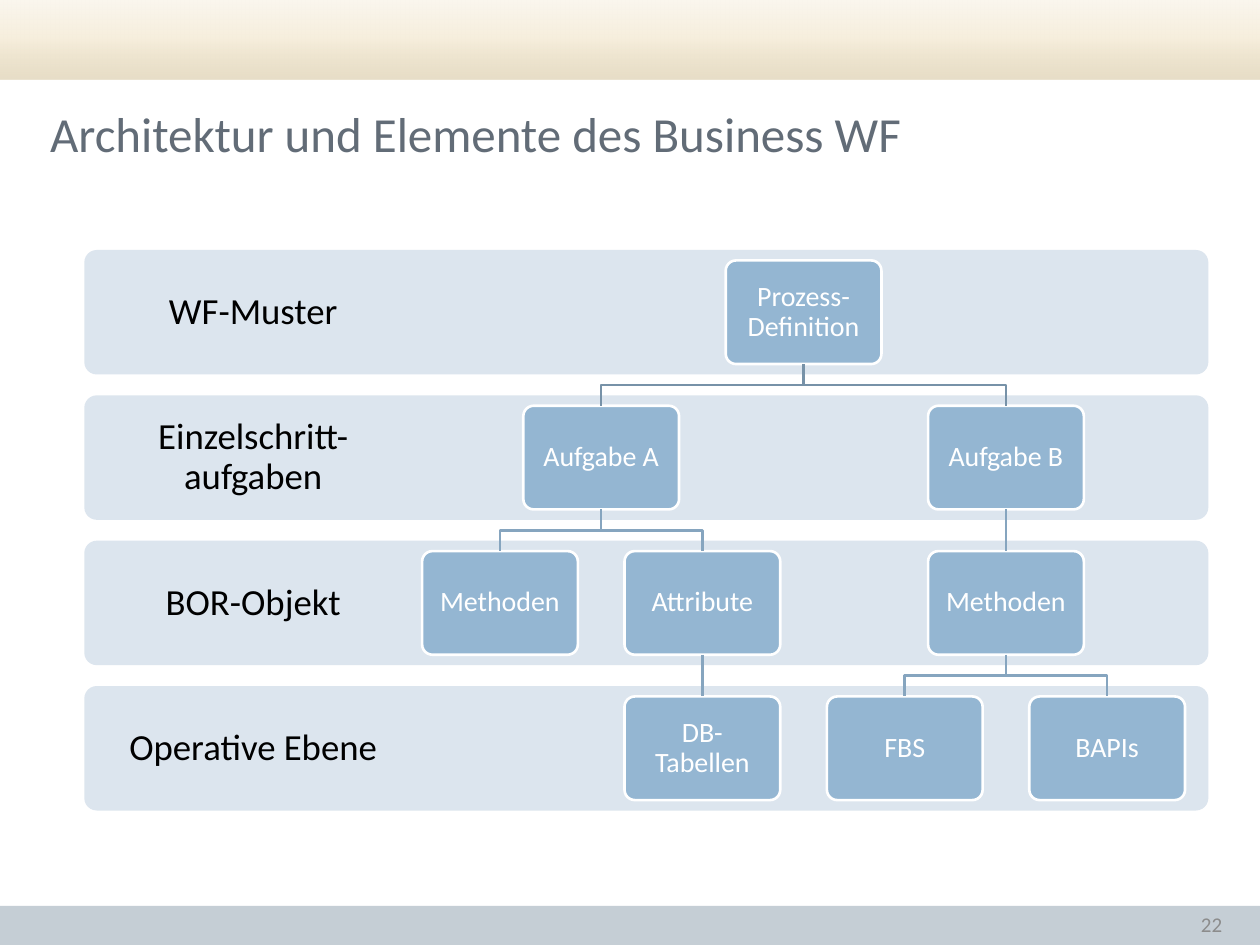
from copy import deepcopy
from dataclasses import dataclass

from lxml.etree import SubElement
from pptx import Presentation
from pptx.dml.color import RGBColor
from pptx.enum.shapes import MSO_CONNECTOR as Connector, MSO_SHAPE as Shape
from pptx.enum.text import MSO_ANCHOR as Anchor, MSO_AUTO_SIZE as AutoSize, PP_ALIGN as Align
from pptx.oxml.ns import qn
from pptx.util import Cm, Pt


@dataclass(frozen=True)
class Theme:
    font: str = "Calibri"
    title: str = "626C77"
    page_number: str = "8C8C8C"
    footer: str = "C5CED5"
    band: str = "DCE5EE"
    label: str = "000000"
    box: str = "94B6D2"
    white: str = "FFFFFF"
    root_link: str = "7792A8"
    link: str = "86A5BF"
    header: tuple = ((0, "DFD2B3"), (0.5, "F6EEDC"), (1, "FAF6EE"))
    header_alpha: int = 73
    title_size: int = 28
    label_size: int = 21
    box_size: int = 16
    number_size: int = 12
    line_width: float = 1.5


THEME = Theme()
PAGE_WIDTH, PAGE_HEIGHT = 25.4, 19.05
BAND_LEFT, BAND_TOP, BAND_WIDTH, BAND_HEIGHT = 1.7, 5.04, 22.66, 2.51
ROW_STEP = 2.93
BOX_WIDTH, BOX_HEIGHT = 3.14, 2.09
FIRST_CENTER, COLUMN_STEP = 10.08, 2.04

LEVELS = ["WF-Muster", "Einzelschritt-aufgaben", "BOR-Objekt", "Operative Ebene"]
NODES = {
    "process": ("Prozess-Definition", 0, 3, None),
    "task_a": ("Aufgabe A", 1, 1, "process"),
    "task_b": ("Aufgabe B", 1, 5, "process"),
    "methods_a": ("Methoden", 2, 0, "task_a"),
    "attributes": ("Attribute", 2, 2, "task_a"),
    "methods_b": ("Methoden", 2, 5, "task_b"),
    "tables": ("DB-Tabellen", 3, 2, "attributes"),
    "modules": ("FBS", 3, 4, "methods_b"),
    "interfaces": ("BAPIs", 3, 6, "methods_b"),
}


def color(code):
    return RGBColor.from_string(code)


def write(shape, text, size, code, align=Align.CENTER, inset=0.25, spacing=None):
    frame = shape.text_frame
    frame.text = text
    frame.word_wrap = True
    frame.auto_size = AutoSize.NONE
    frame.vertical_anchor = Anchor.MIDDLE
    frame.margin_left = frame.margin_right = Cm(inset)
    frame.margin_top = frame.margin_bottom = Cm(min(inset, 0.13))
    para = frame.paragraphs[0]
    para.alignment = align
    para.line_spacing = spacing
    font = para.runs[0].font
    font.name, font.size = THEME.font, Pt(size)
    font.color.rgb = color(code)


def add_panel(page, kind, left, top, width, height, fill):
    panel = page.shapes.add_shape(kind, Cm(left), Cm(top), Cm(width), Cm(height))
    panel.shadow.inherit = False
    panel.fill.solid()
    panel.fill.fore_color.rgb = color(fill)
    panel.line.fill.background()
    if kind == Shape.ROUNDED_RECTANGLE:
        panel.adjustments[0] = 0.1
    return panel


def add_label(page, text, left, top, width, height, size, code, **layout):
    label = page.shapes.add_textbox(Cm(left), Cm(top), Cm(width), Cm(height))
    write(label, text, size, code, **layout)


def add_header(page):
    header = add_panel(page, Shape.RECTANGLE, 0, 0, PAGE_WIDTH, 1.6, THEME.white)
    header.fill.gradient()
    header.fill.gradient_angle = 90
    stop_list = header._element.spPr.find(".//" + qn("a:gsLst"))
    stop_list.append(deepcopy(stop_list[-1]))
    for stop, (position, code) in zip(header.fill.gradient_stops, THEME.header):
        stop.position = position
        stop.color.rgb = color(code)
    alpha = SubElement(stop_list[0][0], qn("a:alpha"))
    alpha.set("val", str(THEME.header_alpha * 1000))


def add_title(page, text):
    title = page.shapes.title
    title.left, title.top, title.width, title.height = Cm(0.76), Cm(1.58), Cm(24.64), Cm(2.18)
    write(title, text, THEME.title_size, THEME.title, align=Align.LEFT)


def add_level(page, row, text):
    top = BAND_TOP + row * ROW_STEP
    add_panel(page, Shape.ROUNDED_RECTANGLE, BAND_LEFT, top, BAND_WIDTH, BAND_HEIGHT, THEME.band)
    add_label(page, text, 1.78, top + 0.08, 6.65, 2.36, THEME.label_size, THEME.label,
              inset=0.4, spacing=0.9)


def add_node(page, text, row, column):
    left = FIRST_CENTER + column * COLUMN_STEP - BOX_WIDTH / 2
    top = BAND_TOP + row * ROW_STEP + (BAND_HEIGHT - BOX_HEIGHT) / 2
    box = add_panel(page, Shape.ROUNDED_RECTANGLE, left, top, BOX_WIDTH, BOX_HEIGHT, THEME.box)
    box.line.color.rgb = color(THEME.white)
    box.line.width = Pt(THEME.line_width)
    write(box, text, THEME.box_size, THEME.white, inset=0.24, spacing=0.9)
    return box


def add_link(page, parent, child, code):
    start_x, end_x = (box.left + box.width // 2 for box in (parent, child))
    start_y, end_y = parent.top + parent.height, child.top
    if start_x == end_x:
        link = page.shapes.add_connector(Connector.STRAIGHT, start_x, start_y, end_x, end_y)
        link.begin_connect(parent, 2)
        link.end_connect(child, 0)
        SubElement(link._element.spPr, qn("a:effectLst"))
    else:
        middle = (start_y + end_y) // 2
        outline = page.shapes.build_freeform(start_x, start_y)
        outline.add_line_segments([(start_x, middle), (end_x, middle), (end_x, end_y)], close=False)
        link = outline.convert_to_shape()
        link.fill.background()
        link.shadow.inherit = False
    link.line.color.rgb = color(code)
    link.line.width = Pt(THEME.line_width)


def add_tree(page):
    boxes = {}
    for key, (text, row, column, parent) in NODES.items():
        boxes[key] = add_node(page, text, row, column)
        if parent:
            code = THEME.root_link if row == 1 else THEME.link
            add_link(page, boxes[parent], boxes[key], code)


def main():
    deck = Presentation()
    deck.slide_width, deck.slide_height = Cm(PAGE_WIDTH), Cm(PAGE_HEIGHT)
    page = deck.slides.add_slide(deck.slide_layouts[5])
    add_header(page)
    add_panel(page, Shape.RECTANGLE, 0, 18.26, PAGE_WIDTH, 0.79, THEME.footer)
    add_title(page, "Architektur und Elemente des Business WF")
    add_label(page, "22", 18.97, 18.11, 5.92, 1.02, THEME.number_size, THEME.page_number,
              align=Align.RIGHT)
    for row, text in enumerate(LEVELS):
        add_level(page, row, text)
    add_tree(page)
    deck.save("out.pptx")


if __name__ == "__main__":
    main()
